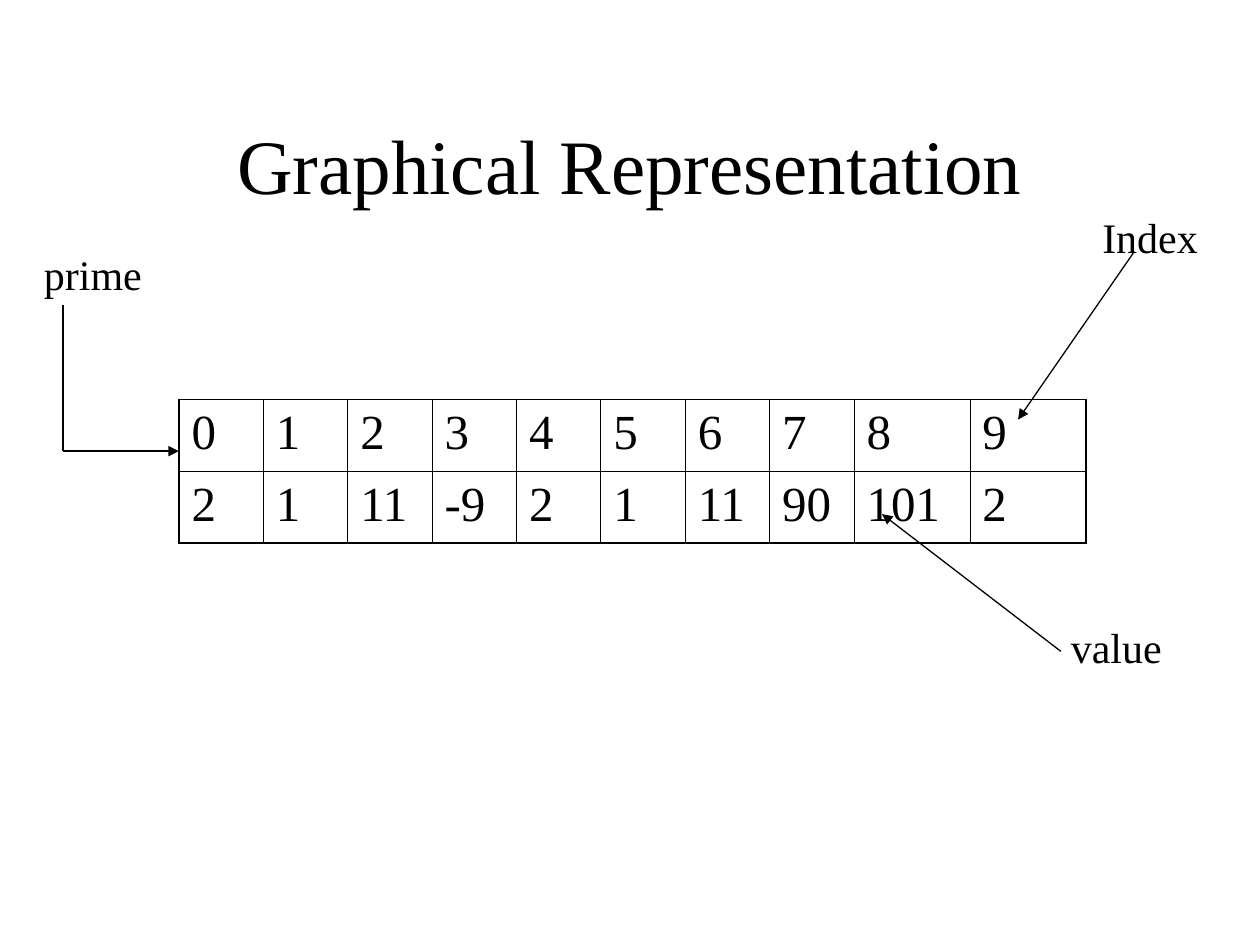
from lxml import etree
from pptx import Presentation
from pptx.dml.color import RGBColor
from pptx.enum.shapes import MSO_CONNECTOR
from pptx.enum.text import MSO_ANCHOR, PP_ALIGN
from pptx.oxml.ns import qn
from pptx.util import Inches, Pt

STRAIGHT = MSO_CONNECTOR.STRAIGHT
LEFT, CENTER = PP_ALIGN.LEFT, PP_ALIGN.CENTER
TOP, MIDDLE = MSO_ANCHOR.TOP, MSO_ANCHOR.MIDDLE

FONT = "Times New Roman"
BLACK, WHITE = "000000", "FFFFFF"
INNER, OUTER = 0.45, 1.08  # table border widths in points

VALUES = [2, 1, 11, -9, 2, 1, 11, 90, 101, 2]
COLUMN_WIDTHS = [0.67] * 8 + [0.92] * 2
ROW_HEIGHT = 0.57


def rgb(color):
    return RGBColor.from_string(color)


def write_text(tf, text, size=24, color=BLACK, align=LEFT):
    p = tf.paragraphs[0]
    p.alignment = align
    r = p.add_run()
    r.text = text
    r.font.name = FONT
    r.font.size = Pt(size)
    r.font.color.rgb = rgb(color)


def add_text(slide, x, y, w, h, text, wrap=False, anchor=TOP, **fmt):
    tf = slide.shapes.add_textbox(Inches(x), Inches(y), Inches(w), Inches(h)).text_frame
    tf.word_wrap = wrap
    tf.vertical_anchor = anchor
    write_text(tf, text, **fmt)


def add_line(slide, start, end, arrow=True):
    points = [Inches(v) for v in (*start, *end)]
    line = slide.shapes.add_connector(STRAIGHT, *points)
    line.line.color.rgb = rgb(BLACK)
    line.line.width = Pt(0.75)
    if arrow:
        etree.SubElement(line.line._get_or_add_ln(), qn("a:tailEnd"), type="triangle")
    etree.SubElement(line._element.spPr, qn("a:effectLst"))


def set_borders(cell, widths):
    # Borders must come before the fill inside the cell properties
    tcPr = cell._tc.get_or_add_tcPr()
    for i, (side, width) in enumerate(widths.items()):
        ln = etree.Element(qn(f"a:ln{side}"), w=str(Pt(width)))
        fill = etree.SubElement(ln, qn("a:solidFill"))
        etree.SubElement(fill, qn("a:srgbClr"), val=BLACK)
        tcPr.insert(i, ln)


def add_array_table(slide, x, y, rows):
    n_rows, n_cols = len(rows), len(COLUMN_WIDTHS)
    table = slide.shapes.add_table(
        n_rows, n_cols, Inches(x), Inches(y),
        Inches(sum(COLUMN_WIDTHS)), Inches(ROW_HEIGHT * n_rows)).table
    table.first_row = table.horz_banding = False
    for column, width in zip(table.columns, COLUMN_WIDTHS):
        column.width = Inches(width)
    for i, row in enumerate(rows):
        table.rows[i].height = Inches(ROW_HEIGHT)
        for j, value in enumerate(row):
            cell = table.cell(i, j)
            cell.fill.background()
            write_text(cell.text_frame, str(value), size=28)
            on_edge = {"L": j == 0, "R": j == n_cols - 1,
                       "T": i == 0, "B": i == n_rows - 1}
            set_borders(cell, {side: OUTER if edge else INNER
                               for side, edge in on_edge.items()})


def main():
    prs = Presentation()
    prs.slide_width, prs.slide_height = Inches(10), Inches(7.5)
    slide = prs.slides.add_slide(prs.slide_layouts[6])
    slide.background.fill.solid()
    slide.background.fill.fore_color.rgb = rgb(WHITE)

    # Title
    add_text(slide, 0.75, 0.67, 8.5, 1.25, "Graphical Representation",
             wrap=True, anchor=MIDDLE, size=44, align=CENTER)

    # Array: indexes above values
    add_array_table(slide, 1.42, 3.17, [range(len(VALUES)), VALUES])

    # Labels
    add_text(slide, 0.25, 1.92, 0.98, 0.5, "prime")
    add_text(slide, 8.65, 1.63, 0.96, 0.5, "Index")
    add_text(slide, 8.4, 4.88, 0.92, 0.5, "value")

    # Pointers from the labels to the array
    add_line(slide, (0.5, 2.42), (0.5, 3.58), arrow=False)
    add_line(slide, (0.5, 3.58), (1.42, 3.58))
    add_line(slide, (9, 2), (8.08, 3.33))
    add_line(slide, (8.42, 5.17), (7, 4.08))

    prs.save("out.pptx")


if __name__ == "__main__":
    main()
